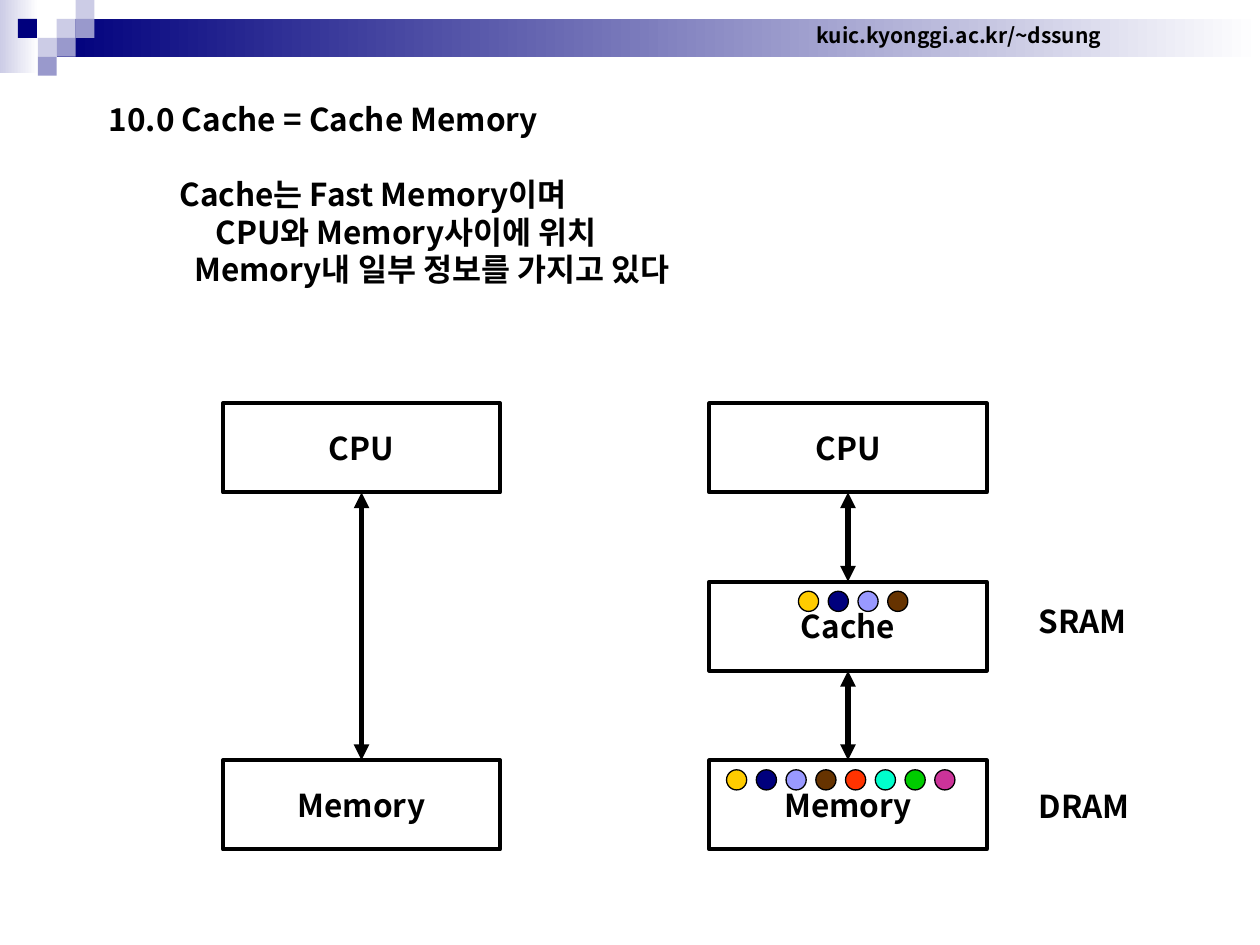
import pptx
import pptx.util
import pptx.oxml
import pptx.dml.color
import pptx.enum.shapes
import pptx.enum.text
from pptx.oxml import ns

Pt = pptx.util.Pt
RGB = pptx.dml.color.RGBColor
KIND = pptx.enum.shapes.MSO_SHAPE
ALIGN = pptx.enum.text.PP_ALIGN
ANCHOR = pptx.enum.text.MSO_ANCHOR

FONT = "Noto Sans CJK KR"
BLACK = RGB(0x00, 0x00, 0x00)
WHITE = RGB(0xFF, 0xFF, 0xFF)
NAVY = RGB(0x00, 0x00, 0x7D)
PALE = RGB(0xCC, 0xCC, 0xE6)
MID = RGB(0x99, 0x99, 0xCC)
GOLD = RGB(0xFF, 0xCC, 0x00)
LILAC = RGB(0x99, 0x99, 0xFF)
BROWN = RGB(0x66, 0x33, 0x00)
RED = RGB(0xFF, 0x33, 0x00)
AQUA = RGB(0x00, 0xFF, 0xCC)
GREEN = RGB(0x00, 0xCC, 0x00)
PINK = RGB(0xCC, 0x33, 0x99)
DATA = [GOLD, NAVY, LILAC, BROWN, RED, AQUA, GREEN, PINK]

CELL = 10.8
BOX_W, BOX_H = 158.4, 51
LEFT_X, RIGHT_X = 127.4, 405.4
ROWS = [230.4 + 102 * i for i in range(3)]
DOT, DOT_STEP = 11.5, 17


def place(shape, x, y, w, h):
    shape.left, shape.top, shape.width, shape.height = Pt(x), Pt(y), Pt(w), Pt(h)


def write(shape, *lines, size=18, align=ALIGN.LEFT, anchor=ANCHOR.TOP, indents=()):
    """Fill a shape with one paragraph per line, each with its own left indent."""
    frame = shape.text_frame
    frame.auto_size = pptx.enum.text.MSO_AUTO_SIZE.NONE
    frame.word_wrap = True
    frame.vertical_anchor = anchor
    frame.text = "\n".join(lines)
    for para, inset in zip(frame.paragraphs, indents):
        props = para._p.get_or_add_pPr()
        props.set("marL", str(Pt(inset)))
        props.set("indent", "0")
    for para in frame.paragraphs:
        para.alignment = align
        for run in para.runs:
            font = run.font
            font.name, font.size, font.bold = FONT, Pt(size), True
            font.color.rgb = BLACK
            latin = run._r.rPr.find(ns.qn("a:latin"))
            east = pptx.oxml.parse_xml(f'<a:ea {ns.nsdecls("a")} typeface="{FONT}"/>')
            latin.addnext(east)


def label(slide, x, y, w, h, *lines, **style):
    write(slide.shapes.add_textbox(Pt(x), Pt(y), Pt(w), Pt(h)), *lines, **style)


def draw(slide, kind, x, y, w, h, fill, line=0):
    """Add a preset shape; a pair of colours as fill makes a left-to-right gradient."""
    shape = slide.shapes.add_shape(kind, Pt(x), Pt(y), Pt(w), Pt(h))
    shape.shadow.inherit = False
    if isinstance(fill, list):
        shape.fill.gradient()
        shape.fill.gradient_angle = 0
        for stop, shade in zip(shape.fill.gradient_stops, fill):
            stop.color.rgb = shade
    else:
        shape.fill.solid()
        shape.fill.fore_color.rgb = fill
    if line:
        shape.line.color.rgb = BLACK
        shape.line.width = Pt(line)
    else:
        shape.line.fill.background()
    return shape


def block(slide, x, y, name):
    shape = draw(slide, KIND.RECTANGLE, x, y, BOX_W, BOX_H, WHITE, line=2.25)
    write(shape, name, align=ALIGN.CENTER, anchor=ANCHOR.MIDDLE)


def arrow(slide, x, top, end):
    """Join two rows of blocks with a vertical double-headed arrow."""
    link = slide.shapes.add_connector(
        pptx.enum.shapes.MSO_CONNECTOR.STRAIGHT, Pt(x), Pt(top), Pt(x), Pt(end))
    link.line.color.rgb = BLACK
    link.line.width = Pt(3)
    line = link.line._get_or_add_ln()
    for tag in ("headEnd", "tailEnd"):
        line.append(pptx.oxml.parse_xml(
            f'<a:{tag} {ns.nsdecls("a")} type="triangle"/>'))
    link._element.spPr.append(
        pptx.oxml.parse_xml(f'<a:effectLst {ns.nsdecls("a")}/>'))


def dots(slide, x, y, shades):
    for i, shade in enumerate(shades):
        draw(slide, KIND.OVAL, x + i * DOT_STEP, y, DOT, DOT, shade, line=0.75)


def banner(slide):
    draw(slide, KIND.RECTANGLE, 0, 0, 22, 42, [PALE, WHITE])
    draw(slide, KIND.RECTANGLE, 3 * CELL, CELL, 720 - 3 * CELL, 2 * CELL, [NAVY, WHITE])
    tiles = [(3, 1, PALE), (4, 0, PALE), (4, 1, MID), (2, 2, PALE),
             (0.95, 1, NAVY), (3, 2, MID), (2, 3, MID)]
    for col, row, shade in tiles:
        draw(slide, KIND.RECTANGLE, col * CELL, row * CELL, CELL, CELL, shade)
    label(slide, 453, 9.4, 190, 21.6, "kuic.kyonggi.ac.kr/~dssung",
          size=12, align=ALIGN.CENTER, anchor=ANCHOR.MIDDLE)


def stack(slide, x, parts):
    """Draw blocks at the given rows, joined by arrows."""
    for row, name in parts:
        block(slide, x, ROWS[row], name)
    for (upper, _), (lower, _) in zip(parts, parts[1:]):
        arrow(slide, x + BOX_W / 2, ROWS[upper] + BOX_H, ROWS[lower])


def main():
    deck = pptx.Presentation()
    deck.slide_width, deck.slide_height = Pt(720), Pt(540)
    slide = deck.slides.add_slide(deck.slide_layouts[5])
    banner(slide)

    title = slide.shapes.title
    place(title, 55, 53.3, 354, 29)
    write(title, "10.0 Cache = Cache Memory")
    label(slide, 55, 96.4, 400, 72,
          "Cache는 Fast Memory이며",
          "CPU와 Memory사이에 위치",
          "Memory내 일부 정보를 가지고 있다",
          indents=(40.5, 61, 49))

    stack(slide, LEFT_X, [(0, "CPU"), (2, "Memory")])
    stack(slide, RIGHT_X, [(0, "CPU"), (1, "Cache"), (2, "Memory")])
    label(slide, 586.4, 340.6, 72, 29, "SRAM")
    label(slide, 586.4, 446.4, 72, 29, "DRAM")
    dots(slide, 415.2, ROWS[2] + 5.5, DATA)
    dots(slide, 456.3, ROWS[1] + 5.5, DATA[:4])

    deck.save("out.pptx")


if __name__ == "__main__":
    main()
